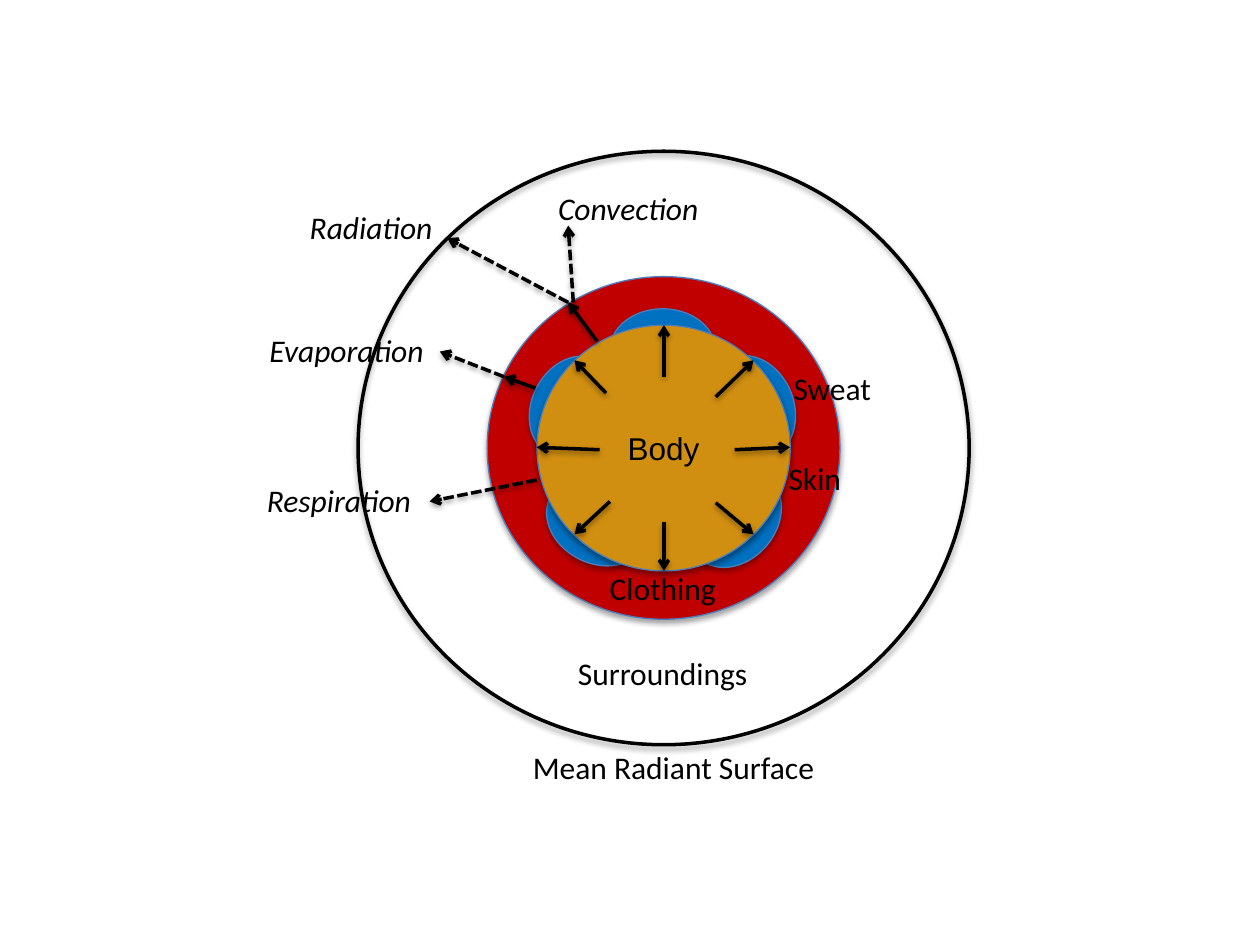
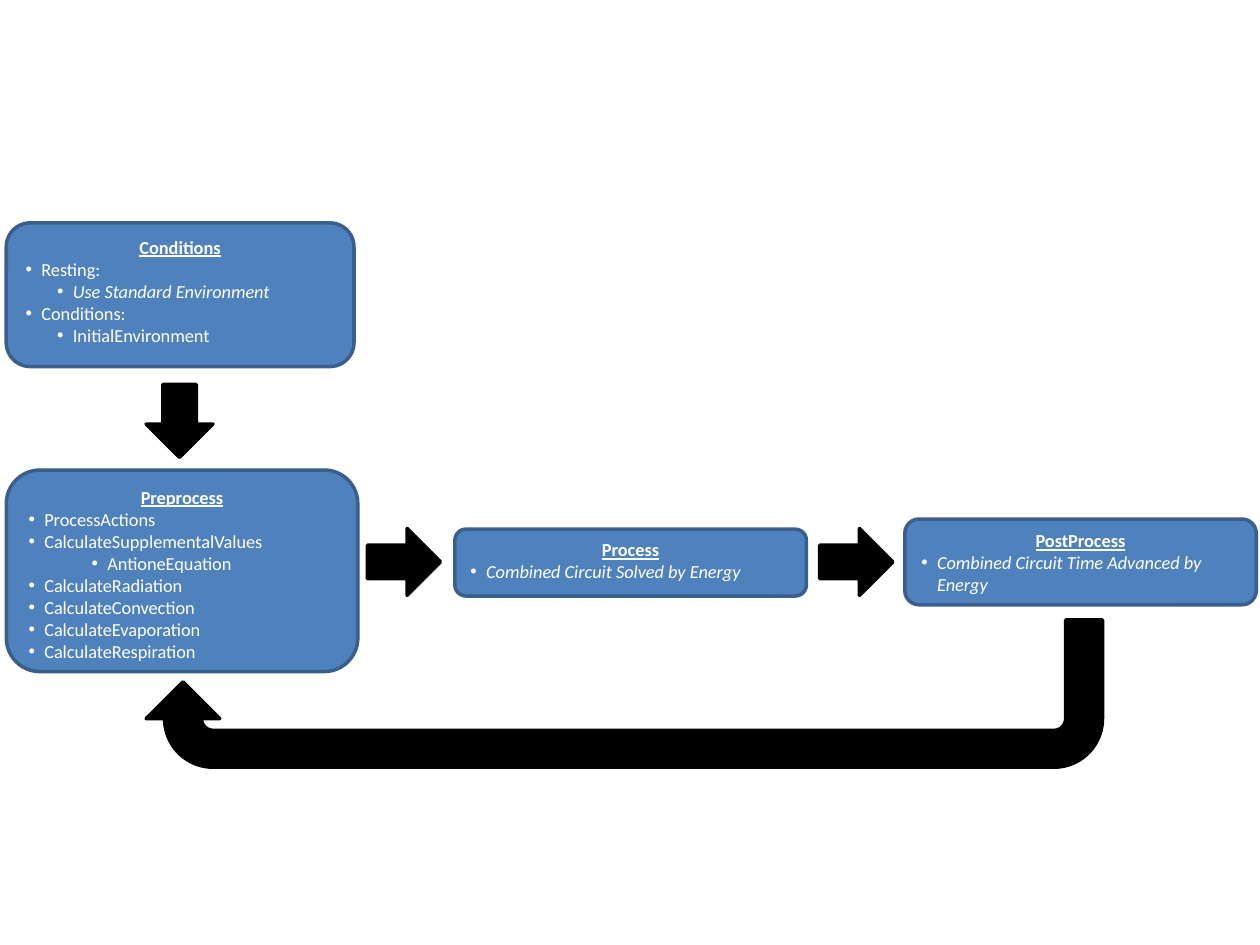
from dataclasses import dataclass

from lxml import etree
from pptx import Presentation
from pptx.dml.color import RGBColor
from pptx.enum import dml, shapes, text
from pptx.oxml import ns
from pptx.util import Pt


@dataclass(frozen=True)
class Theme:
    ink: str = "000000"
    white: str = "FFFFFF"
    clothing: str = "C00000"
    sweat: str = "0070C0"
    body: str = "D18F11"
    outline: str = "4B7EBC"
    step: str = "4F81BD"
    step_edge: str = "3A5F8C"
    text_font: str = "Calibri"
    body_font: str = "Arial"
    label_size: float = 18
    step_size: float = 10.5
    thin: float = 0.75
    thick: float = 2


THEME = Theme()
SHAPE = shapes.MSO_SHAPE
ALIGN = text.PP_ALIGN


def add_xml(parent, tag, **attributes):
    return etree.SubElement(parent, ns.qn(tag), attributes)


class Painter:
    """Holds the theme and the current slide; all lengths are points."""

    def __init__(self, deck, theme):
        self.deck, self.theme = deck, theme
        self.page = None

    def new_page(self):
        self.page = self.deck.slides.add_slide(self.deck.slide_layouts[6])

    def style_font(self, font, size, color, name=None, **flags):
        font.name = name or self.theme.text_font
        font.size = Pt(size)
        font.color.rgb = RGBColor.from_string(color)
        for flag, value in flags.items():
            setattr(font, flag, value)

    def cast_shadow(self, effects, distance, opacity):
        shadow = add_xml(effects, "a:outerShdw", blurRad="40000", dist=str(distance),
                         dir="5400000", rotWithShape="0")
        color = add_xml(shadow, "a:srgbClr", val=self.theme.ink)
        add_xml(color, "a:alpha", val=str(opacity))

    def shape(self, kind, left, top, width, height, fill, line, weight, turn=0):
        shape = self.page.shapes.add_shape(kind, Pt(left), Pt(top), Pt(width), Pt(height))
        shape.rotation = turn
        shape.shadow.inherit = False
        if fill:
            shape.fill.solid()
            shape.fill.fore_color.rgb = RGBColor.from_string(fill)
        else:
            shape.fill.background()
        shape.line.color.rgb = RGBColor.from_string(line)
        shape.line.width = Pt(weight)
        return shape

    def ellipse(self, center, size, fill, line=None, weight=None, turn=0):
        (x, y), (width, height) = center, size
        oval = self.shape(SHAPE.OVAL, x - width / 2, y - height / 2, width, height, fill,
                          line or self.theme.outline, weight or self.theme.thin, turn)
        effects = oval._element.spPr.find(ns.qn("a:effectLst"))
        self.cast_shadow(effects, 23000, 35000)
        return oval

    def label(self, words, left, top, width, align=ALIGN.LEFT, italic=False):
        box = self.page.shapes.add_textbox(Pt(left), Pt(top), Pt(width), Pt(28.8))
        box.text_frame.word_wrap = False
        box.text_frame.auto_size = text.MSO_AUTO_SIZE.SHAPE_TO_FIT_TEXT
        para = box.text_frame.paragraphs[0]
        para.text, para.alignment = words, align
        self.style_font(para.font, self.theme.label_size, self.theme.ink, italic=italic)

    def arrow(self, start, end, dashed=False):
        line = self.page.shapes.add_connector(
            shapes.MSO_CONNECTOR.STRAIGHT, *(Pt(value) for value in (*start, *end)))
        line.line.color.rgb = RGBColor.from_string(self.theme.ink)
        line.line.width = Pt(self.theme.thick)
        if dashed:
            line.line.dash_style = dml.MSO_LINE.SQUARE_DOT
        add_xml(line.line._get_or_add_ln(), "a:tailEnd", type="arrow")
        effects = add_xml(line._element.spPr, "a:effectLst")
        self.cast_shadow(effects, 20000, 38000)

    def block_arrow(self, kind, left, top, width=38.2, height=41.8, turn=0):
        return self.shape(kind, left, top, width, height, self.theme.ink,
                          self.theme.ink, self.theme.thick, turn)

    def step(self, heading, items, left, top, width, height):
        """Rounded box; each item is (words, level, left indent, italic)."""
        box = self.shape(SHAPE.ROUNDED_RECTANGLE, left, top, width, height,
                         self.theme.step, self.theme.step_edge, self.theme.thick)
        frame = box.text_frame
        frame.vertical_anchor = text.MSO_ANCHOR.TOP
        para = frame.paragraphs[0]
        para.text, para.alignment = heading, ALIGN.CENTER
        self.style_font(para.font, self.theme.step_size, self.theme.white,
                        bold=True, underline=True)
        for words, level, indent, italic in items:
            para = frame.add_paragraph()
            para.text, para.level, para.alignment = words, level, ALIGN.LEFT
            properties = para._p.get_or_add_pPr()
            properties.set("marL", str(Pt(indent)))
            properties.set("indent", str(-Pt(9)))
            add_xml(properties, "a:buFont", typeface=self.theme.body_font)
            add_xml(properties, "a:buChar", char="•")
            self.style_font(para.font, self.theme.step_size, self.theme.white, italic=italic)


deck = Presentation()
deck.slide_width, deck.slide_height = Pt(720), Pt(540)
painter = Painter(deck, THEME)

# Slide 1: heat exchange between body and surroundings
painter.new_page()
CENTER = (379.2, 256)
painter.ellipse(CENTER, (349.2, 339.1), None, THEME.ink, THEME.thick)
painter.ellipse(CENTER, (201.6, 195.8), THEME.clothing)

# Sweat patches, partly covered by the body
for center, turn in [((378.7, 200.2), 0), ((341.3, 298.1), 27.7), ((327.6, 232.6), 116.4),
                     ((429.8, 232.6), 67.5), ((419.8, 296.6), 130.8)]:
    painter.ellipse(center, (60.5, 47.5), THEME.sweat, turn=turn)

body = painter.ellipse(CENTER, (144.7, 140.4), THEME.body)
body.text_frame.vertical_anchor = text.MSO_ANCHOR.MIDDLE
body_para = body.text_frame.paragraphs[0]
body_para.text, body_para.alignment = "Body", ALIGN.CENTER
painter.style_font(body_para.font, THEME.label_size, THEME.ink, THEME.body_font)

# Layer names
for words, left, top, width, align in [
    ("Sweat", 446.4, 207.4, 67, ALIGN.LEFT),
    ("Skin", 443.5, 258.5, 49.7, ALIGN.LEFT),
    ("Clothing", 341.3, 321.8, 81.4, ALIGN.LEFT),
    ("Surroundings", 317.5, 370.1, 122.4, ALIGN.CENTER),
    ("Mean Radiant Surface", 287.3, 424.1, 195.1, ALIGN.CENTER),
]:
    painter.label(words, left, top, width, align)

# Heat flow inside the body and through the clothing
for start, end in [
    ((379.4, 215.3), (379.4, 185.8)),
    ((409, 226.8), (430.6, 205.9)),
    ((419.8, 257), (451.4, 255.6)),
    ((409, 287.3), (430.6, 305.3)),
    ((379.4, 298.1), (379.4, 326.2)),
    ((348.5, 286.6), (328.3, 305.3)),
    ((342.7, 257), (306.7, 255.6)),
    ((346.3, 224.6), (328.3, 205.9)),
    ((306, 221.8), (288, 215.3)),
    ((341.3, 195.1), (324.7, 172.8)),
]:
    painter.arrow(start, end)

# Heat losses: dashed arrow and its name
for words, left, top, width, start, end in [
    ("Evaporation", 146.9, 185.8, 111.6, (288, 215.3), (251.3, 200.9)),
    ("Radiation", 169.9, 115.2, 91.4, (324.7, 172.8), (255.6, 136.1)),
    ("Convection", 311.8, 104.4, 105.1, (327.6, 172.8), (324.7, 128.9)),
    ("Respiration", 145.4, 271.4, 106.6, (306.7, 274.3), (245.5, 286.6)),
]:
    painter.arrow(start, end, dashed=True)
    painter.label(words, left, top, width, italic=True)

# Slide 2: processing loop
painter.new_page()
FIRST, SECOND, THIRD = 9, 27, 45
STEP_WIDTH = 200.9

painter.step("Preprocess", [
    ("ProcessActions", 0, FIRST, False),
    ("CalculateSupplementalValues", 0, FIRST, False),
    ("AntioneEquation", 1, THIRD, False),
    *((f"Calculate{loss}", 0, FIRST, False)
      for loss in ("Radiation", "Convection", "Evaporation", "Respiration")),
], 3.6, 268.6, STEP_WIDTH, 115.2)
painter.step("Process", [("Combined Circuit Solved by Energy", 0, FIRST, True)],
             259.9, 302.4, STEP_WIDTH, 38.2)
painter.step("PostProcess", [("Combined Circuit Time Advanced by Energy", 0, FIRST, True)],
             517, 296.6, STEP_WIDTH, 49)
painter.step("Conditions", [
    ("Resting:", 0, FIRST, False),
    ("Use Standard Environment", 1, SECOND, True),
    ("Conditions:", 0, FIRST, False),
    ("InitialEnvironment", 1, SECOND, False),
], 3.6, 127.4, 198.7, 82.1)

# Forward arrows, then the return arrow
for left, top, turn in [(211.7, 300.2, 270), (470.2, 300.2, 270), (83.5, 219.6, 0)]:
    painter.block_arrow(SHAPE.DOWN_ARROW, left, top, turn=turn)
loop = painter.block_arrow(SHAPE.U_TURN_ARROW, 83.5, 354.2, 546.5, 84.2, turn=180)
for index, value in enumerate((0.25, 0.25, 0.25, 0.44, 0.58)):
    loop.adjustments[index] = value

deck.save("out.pptx")
